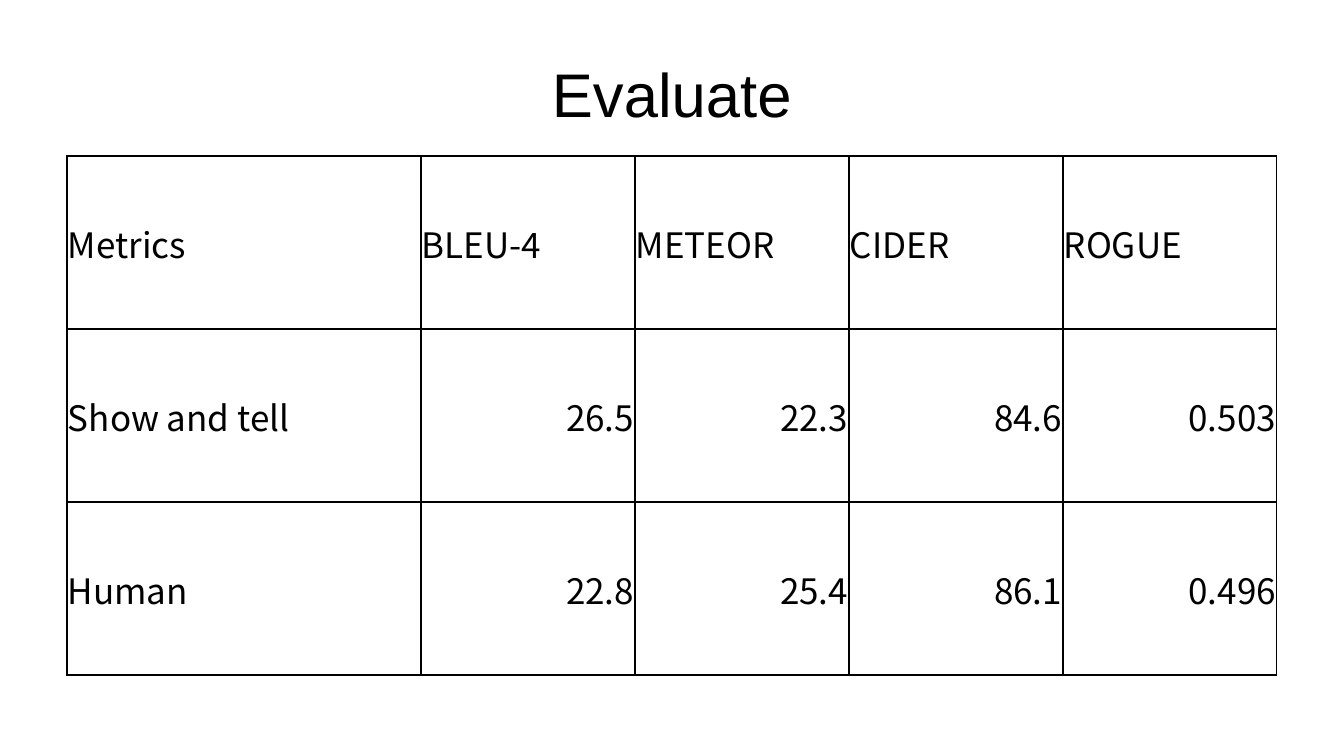
from lxml import etree
from pptx import Presentation
from pptx import util as u
from pptx.dml.color import RGBColor
from pptx.enum import text
from pptx.oxml.ns import qn

EMU_PER_PX = 914400 / 100.8
BLACK = "000000"
COLUMN_WIDTHS = [354] + [214] * 4
ROW_HEIGHT = 173
SCORES = [
    ["Metrics", "BLEU-4", "METEOR", "CIDER", "ROGUE"],
    ["Show and tell", "26.5", "22.3", "84.6", "0.503"],
    ["Human", "22.8", "25.4", "86.1", "0.496"],
]


def px(length):
    return u.Emu(round(length * EMU_PER_PX))


def color(value):
    return RGBColor.from_string(value)


def write(frame, words, font, size, align):
    frame.word_wrap = True
    para = frame.paragraphs[0]
    para.text = words
    para.alignment = align
    para.font.name = font
    para.font.size = u.Pt(size)
    para.font.bold = False
    para.font.color.rgb = color(BLACK)


def add_title(page, words, left, top, width, height):
    box = page.shapes.add_textbox(px(left), px(top), px(width), px(height))
    box.text_frame.vertical_anchor = text.MSO_ANCHOR.MIDDLE
    write(box.text_frame, words, "Arial", 44, text.PP_ALIGN.CENTER)


def add_borders(cell, line_color, points):
    properties = cell._tc.get_or_add_tcPr()
    for side in ("a:lnL", "a:lnR", "a:lnT", "a:lnB"):
        line = etree.SubElement(properties, qn(side), w=str(u.Pt(points)))
        fill = etree.SubElement(line, qn("a:solidFill"))
        etree.SubElement(fill, qn("a:srgbClr"), val=line_color)


def style_cell(cell):
    cell.margin_left = cell.margin_right = cell.margin_top = px(1)
    cell.margin_bottom = 0
    cell.vertical_anchor = text.MSO_ANCHOR.MIDDLE
    add_borders(cell, BLACK, 1)
    cell.fill.background()


def add_score_table(page, left, top):
    frame = page.shapes.add_table(
        len(SCORES), len(COLUMN_WIDTHS), px(left), px(top),
        px(sum(COLUMN_WIDTHS)), px(ROW_HEIGHT * len(SCORES)))
    table = frame.table
    table.first_row = table.horz_banding = False
    for column, width in zip(table.columns, COLUMN_WIDTHS):
        column.width = px(width)
    for r, (row, values) in enumerate(zip(table.rows, SCORES)):
        row.height = px(ROW_HEIGHT)
        for c, (cell, value) in enumerate(zip(row.cells, values)):
            is_score = r > 0 and c > 0
            align = text.PP_ALIGN.RIGHT if is_score else text.PP_ALIGN.LEFT
            write(cell.text_frame, value, "Noto Sans CJK SC", 25, align)
            style_cell(cell)


def main():
    deck = Presentation()
    deck.slide_width, deck.slide_height = px(1344), px(756)
    page = deck.slides.add_slide(deck.slide_layouts[6])
    add_title(page, "Evaluate", 67, 30, 1210, 126)
    add_score_table(page, 67, 156)
    deck.save("out.pptx")


if __name__ == "__main__":
    main()
